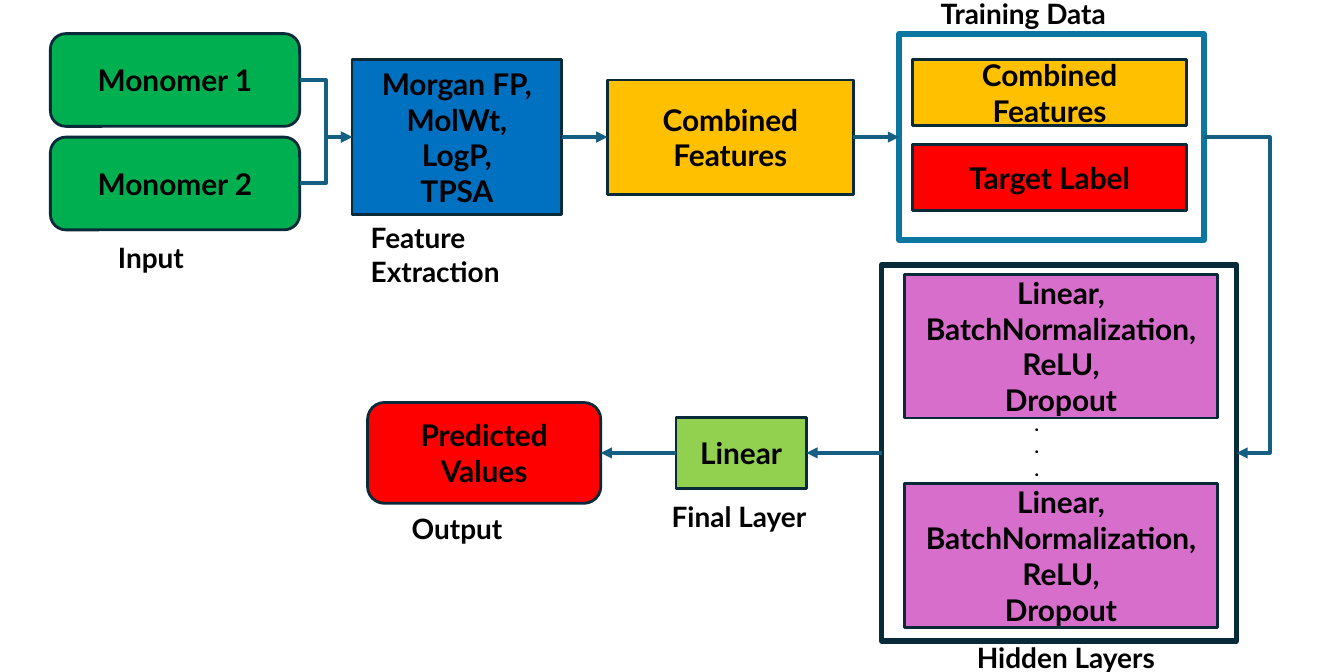
from dataclasses import dataclass
from lxml import etree
from pptx import Presentation
from pptx.dml.color import RGBColor
from pptx.enum.shapes import MSO_CONNECTOR, MSO_SHAPE
from pptx.enum.text import MSO_ANCHOR, MSO_AUTO_SIZE, PP_ALIGN
from pptx.oxml.ns import qn
from pptx.util import Inches, Pt

RECTANGLE = MSO_SHAPE.RECTANGLE
ROUNDED = MSO_SHAPE.ROUNDED_RECTANGLE
STRAIGHT = MSO_CONNECTOR.STRAIGHT
ELBOW = MSO_CONNECTOR.ELBOW
CENTER = PP_ALIGN.CENTER
LEFT_ALIGNED = PP_ALIGN.LEFT
MIDDLE = MSO_ANCHOR.MIDDLE
GROW = MSO_AUTO_SIZE.SHAPE_TO_FIT_TEXT
LEFT, RIGHT = 1, 3

SLIDE_WIDTH, SLIDE_HEIGHT = Inches(10), Inches(5)
COLUMN, ROW = SLIDE_WIDTH / 100, SLIDE_HEIGHT / 50
LABEL_ROWS = 3.5


@dataclass(frozen=True)
class Theme:
    font: str = "Lato"
    ink: str = "000000"
    outline: str = "092A39"
    training_outline: str = "0B76A0"
    arrow: str = "156082"
    green: str = "00B050"
    blue: str = "0070C0"
    amber: str = "FFC000"
    red: str = "FF0000"
    purple: str = "D86ECC"
    lime: str = "92D050"
    block_size: float = 16
    label_size: float = 15
    dot_size: float = 10
    block_line: float = 1.5
    frame_line: float = 3
    arrow_line: float = 2


THEME = Theme()


@dataclass(frozen=True)
class Box:
    left: float
    top: float
    width: float
    height: float

    def inside(self, left, top, width, height):
        return Box(self.left + left, self.top + top, width, height)

    def stacked(self, count, gap):
        height = (self.height - gap * (count - 1)) / count
        return [self.inside(0, index * (height + gap), self.width, height) for index in range(count)]

    def lengths(self):
        return (round(self.left * COLUMN), round(self.top * ROW),
                round(self.width * COLUMN), round(self.height * ROW))


def write_text(frame, text, size=THEME.block_size, align=CENTER):
    frame.word_wrap = True
    for index, line in enumerate(text.split("\n")):
        para = frame.add_paragraph() if index else frame.paragraphs[0]
        para.alignment = align
        span = para.add_run()
        span.text = line
        span.font.name = THEME.font
        span.font.size = Pt(size)
        span.font.bold = True
        span.font.color.rgb = RGBColor.from_string(THEME.ink)


def add_block(page, box, text="", fill=None, kind=RECTANGLE,
              outline=THEME.outline, weight=THEME.block_line):
    block = page.shapes.add_shape(kind, *box.lengths())
    block.shadow.inherit = False
    if fill:
        block.fill.solid()
        block.fill.fore_color.rgb = RGBColor.from_string(fill)
    else:
        block.fill.background()
    block.line.color.rgb = RGBColor.from_string(outline)
    block.line.width = Pt(weight)
    if text:
        block.text_frame.vertical_anchor = MIDDLE
        write_text(block.text_frame, text)
    return block


def add_label(page, box, text, size=THEME.label_size):
    label = page.shapes.add_textbox(*box.lengths())
    write_text(label.text_frame, text, size=size, align=LEFT_ALIGNED)
    label.text_frame.auto_size = GROW


def add_arrow(page, source, target, sides=(RIGHT, LEFT), kind=STRAIGHT, bend=None):
    arrow = page.shapes.add_connector(kind, 0, 0, 0, 0)
    arrow.begin_connect(source, sides[0])
    arrow.end_connect(target, sides[1])
    arrow.line.color.rgb = RGBColor.from_string(THEME.arrow)
    arrow.line.width = Pt(THEME.arrow_line)
    properties = arrow.element.spPr
    etree.SubElement(properties.find(qn("a:ln")), qn("a:tailEnd"), type="triangle")
    etree.SubElement(properties, qn("a:effectLst"))
    if bend is not None:
        guides = properties.find(qn("a:prstGeom")).find(qn("a:avLst"))
        etree.SubElement(guides, qn("a:gd"), name="adj1", fmla=f"val {round(bend * 100000)}")


def draw_input(page, box):
    add_label(page, box.inside(4.05, box.height + 0.3, 9.3, LABEL_ROWS), "Input")
    return [add_block(page, place, f"Monomer {number}", fill=THEME.green, kind=ROUNDED)
            for number, place in enumerate(box.stacked(2, 0.8), 1)]


def draw_extraction(page, box):
    add_label(page, box.inside(0.4, box.height, 11.8, 6.1), "Feature Extraction")
    return add_block(page, box, "Morgan FP,\nMolWt,\nLogP,\nTPSA", fill=THEME.blue)


def draw_training(page, box):
    frame = add_block(page, box, outline=THEME.training_outline, weight=THEME.frame_line)
    places = box.inside(1, 1.9, 20.4, 11.2).stacked(2, 1.4)
    contents = (("Combined Features", THEME.amber), ("Target Label", THEME.red))
    for place, (text, fill) in zip(places, contents):
        add_block(page, place, text, fill=fill)
    add_label(page, box.inside(2.1, -3.3, 23.1, LABEL_ROWS), "Training Data")
    return frame


def draw_hidden(page, box):
    frame = add_block(page, box, weight=THEME.frame_line)
    for place in box.inside(1.7, 0.7, 23.3, 26.3).stacked(2, 4.9):
        add_block(page, place, "Linear,\nBatchNormalization,\nReLU,\nDropout", fill=THEME.purple)
    add_label(page, box.inside(10.4, 10.5, 2.5, 6.1), ".\n.\n.", size=THEME.dot_size)
    add_label(page, box.inside(6.1, box.height - 0.5, 23.1, LABEL_ROWS), "Hidden Layers")
    return frame


def draw_final(page, box):
    add_label(page, box.inside(-1.3, box.height + 0.3, 12.3, LABEL_ROWS), "Final Layer")
    return add_block(page, box, "Linear", fill=THEME.lime)


def draw_output(page, box):
    add_label(page, box.inside(2.3, box.height + 0.1, 12.3, LABEL_ROWS), "Output")
    return add_block(page, box, "Predicted Values", fill=THEME.red, kind=ROUNDED)


def main():
    deck = Presentation()
    deck.slide_width, deck.slide_height = SLIDE_WIDTH, SLIDE_HEIGHT
    page = deck.slides.add_slide(deck.slide_layouts[6])

    monomers = draw_input(page, Box(3.75, 2.5, 18.55, 14.6))
    extraction = draw_extraction(page, Box(26.2, 4.45, 15.6, 11.5))
    combined = add_block(page, Box(45.2, 5.95, 18.3, 8.5), "Combined Features", fill=THEME.amber)
    training = draw_training(page, Box(66.9, 2.55, 22.7, 15.3))
    hidden = draw_hidden(page, Box(65.6, 19.7, 26.4, 28))
    final = draw_final(page, Box(50.3, 31.05, 9.7, 5.3))
    output = draw_output(page, Box(27.35, 29.95, 17.35, 7.5))

    for monomer in monomers:
        add_arrow(page, monomer, extraction, kind=ELBOW)
    add_arrow(page, extraction, combined)
    add_arrow(page, combined, training)
    add_arrow(page, training, hidden, sides=(RIGHT, RIGHT), kind=ELBOW, bend=2.03)
    add_arrow(page, hidden, final, sides=(LEFT, RIGHT))
    add_arrow(page, final, output, sides=(LEFT, RIGHT))

    deck.save("out.pptx")


if __name__ == "__main__":
    main()
